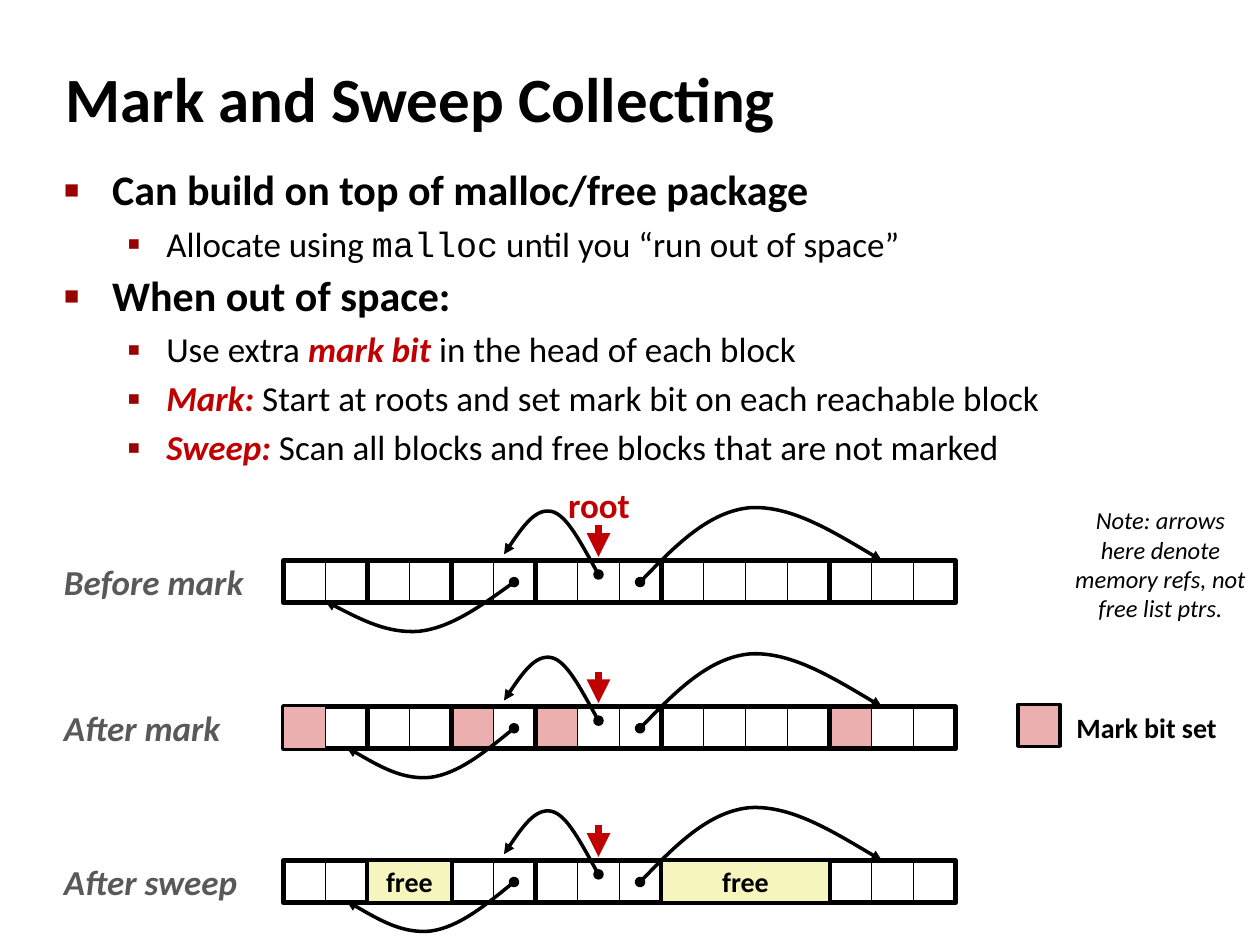
import dataclasses
import itertools
import typing

import lxml.etree
import pptx
import pptx.dml.color
import pptx.enum.shapes
import pptx.enum.text
import pptx.oxml
import pptx.oxml.ns
import pptx.util

Inches, Pt = pptx.util.Inches, pptx.util.Pt
RGB = pptx.dml.color.RGBColor.from_string
ALIGN = pptx.enum.text.PP_ALIGN
ANCHOR = pptx.enum.text.MSO_ANCHOR
AUTO = pptx.enum.text.MSO_AUTO_SIZE
RECT = pptx.enum.shapes.MSO_SHAPE.RECTANGLE
STRAIGHT = pptx.enum.shapes.MSO_CONNECTOR.STRAIGHT
qn = pptx.oxml.ns.qn


@dataclasses.dataclass(frozen=True)
class Theme:
    font: str = "Calibri"
    code_font: str = "Courier New"
    ink: str = "000000"
    accent: str = "C00000"
    bullet: str = "990000"
    label: str = "595959"
    marked: str = "EBAFAF"
    free: str = "F6F5BD"
    title: int = 36
    heading: int = 24
    text: int = 20
    small: int = 16
    note: int = 14


class Level(typing.NamedTuple):
    size: int
    bold: bool
    indent: float
    hang: float
    bullet: str
    bullet_pct: int
    line_spacing: float


class Run(typing.NamedTuple):
    text: str
    style: dict = {}


class HeapRow(typing.NamedTuple):
    label: str
    top: float
    back_end: float             # x where the lower pointer lands
    marked: tuple = ()          # cell numbers
    freed: tuple = ()           # block numbers


T = Theme()
LEVELS = (Level(T.heading, True, 0.38, 0.38, "■", 60, 0.95),
          Level(T.text, False, 0.81, 0.31, "▪", 110, 1.0))
KEY = {"color": T.accent, "bold": True, "italic": True}
BODY = (
    (0, [Run("Can build on top of malloc/free package")]),
    (1, [Run("Allocate using "), Run("malloc", {"name": T.code_font}),
         Run(" until you “run out of space”")]),
    (0, [Run("When out of space:")]),
    (1, [Run("Use extra "), Run("mark bit ", KEY), Run("in the head of each block")]),
    (1, [Run("Mark: ", KEY),
         Run("Start at roots and set mark bit on each reachable block")]),
    (1, [Run("Sweep: ", KEY),
         Run("Scan all blocks and free blocks that are not marked")]),
)

CELL = 1 / 3
HEAP_LEFT = 2.25
BLOCKS = (2, 2, 2, 3, 4, 3)     # sizes in cells
STARTS = (0, *itertools.accumulate(BLOCKS))
ROWS = (
    HeapRow("Before mark", 4.45, 2.58),
    HeapRow("After mark", 5.61, 2.75, marked=(0, 4, 6, 13)),
    HeapRow("After sweep", 6.83, 2.75, freed=(1, 4)),
)
# Bezier points: x, and y measured from the top of the heap row
ROOT_CURVE = ((4.75, 0.11), (4.62, -0.12), (4.5, -0.36), (4.38, -0.39),
              (4.25, -0.42), (4.12, -0.23), (4, -0.05))
FORWARD_CURVE = ((5.08, 0.17), (5.35, -0.11), (5.63, -0.39), (5.95, -0.42),
                 (6.27, -0.44), (6.63, -0.22), (7, 0))
BACK_START = 4.08
BACK_DROPS = (0.17, 0.35, 0.53, 0.56, 0.58, 0.45, 0.32)


def add_run(p, text: str, **style) -> None:
    r = p.add_run()
    r.text = text
    values = {"name": T.font, "color": T.ink, **style}
    r.font.color.rgb = RGB(values.pop("color"))
    for name, value in values.items():
        setattr(r.font, name, value)


def add_text(s, x: float, y: float, w: float, h: float, text: str,
             align=ALIGN.LEFT, wrap: bool = False, **style) -> None:
    tf = s.shapes.add_textbox(*map(Inches, (x, y, w, h))).text_frame
    tf.word_wrap, tf.auto_size = wrap, AUTO.SHAPE_TO_FIT_TEXT
    tf.paragraphs[0].alignment = align
    add_run(tf.paragraphs[0], text, **style)


def add_box(s, x: float, y: float, cells: int, width: float,
            fill: str | None = None, text: str = "") -> None:
    sp = s.shapes.add_shape(RECT, *map(Inches, (x, y, cells * CELL, CELL)))
    sp.shadow.inherit = False
    if fill:
        sp.fill.solid()
        sp.fill.fore_color.rgb = RGB(fill)
    else:
        sp.fill.background()
    sp.line.color.rgb, sp.line.width = RGB(T.ink), Pt(width)
    if text:
        tf = sp.text_frame
        tf.word_wrap, tf.vertical_anchor = False, ANCHOR.MIDDLE
        tf.paragraphs[0].alignment = ALIGN.CENTER
        add_run(tf.paragraphs[0], text, size=Pt(T.small), bold=True)


def set_line(sp, color: str, width: float, **ends: str) -> None:
    sp.line.color.rgb, sp.line.width = RGB(color), Pt(width)
    for end, kind in ends.items():
        lxml.etree.SubElement(sp.line._get_or_add_ln(), qn(f"a:{end}"), type=kind)


def add_line(s, x: float, top: float, bottom: float, color: str,
             width: float, **ends: str) -> None:
    sp = s.shapes.add_connector(STRAIGHT, *map(Inches, (x, top, x, bottom)))
    set_line(sp, color, width, **ends)
    lxml.etree.SubElement(sp._element.spPr, qn("a:effectLst"))


def add_curve(s, points, top: float) -> None:
    """Draw a pointer through Bezier points, dot first and arrowhead last."""
    pts = [(Inches(x), Inches(top + y)) for x, y in points]
    builder = s.shapes.build_freeform(*pts[0])
    builder.add_line_segments(pts[1:], close=False)
    sp = builder.convert_to_shape()
    path = sp._element.find(".//" + qn("a:path"))
    segments = path.findall(qn("a:lnTo"))
    for i in range(0, len(segments), 3):
        bezier = lxml.etree.SubElement(path, qn("a:cubicBezTo"))
        for segment in segments[i:i + 3]:
            bezier.append(segment[0])
            path.remove(segment)
    sp.shadow.inherit = False
    sp.fill.background()
    set_line(sp, T.ink, 2, headEnd="oval", tailEnd="triangle")


def cell_x(cell: int) -> float:
    return HEAP_LEFT + cell * CELL


def divider_width(row: HeapRow, cell: int) -> float:
    if cell - 1 in row.marked:
        return 1
    if any(STARTS[b] < cell < STARTS[b + 1] for b in row.freed):
        return 2
    return 0.5


def add_heap_row(s, row: HeapRow) -> None:
    for cell in row.marked[1:]:
        add_box(s, cell_x(cell), row.top, 1, 0.75, T.marked)
    step = (row.back_end - BACK_START) / 6
    back_curve = [(BACK_START + i * step, y) for i, y in enumerate(BACK_DROPS)]
    for curve in (ROOT_CURVE, FORWARD_CURVE, back_curve):
        add_curve(s, curve, row.top)
    add_text(s, 0.41, row.top - 0.05, 1.63, 0.44, row.label,
             size=Pt(T.text), color=T.label, bold=True, italic=True)
    add_line(s, 4.75, row.top - 0.28, row.top - 0.03, T.accent, 4.5,
             tailEnd="triangle")
    for start, size in zip(STARTS, BLOCKS):
        add_box(s, cell_x(start), row.top, size, 3)
    for cell in set(range(STARTS[-1])) - set(STARTS):
        add_line(s, cell_x(cell), row.top, row.top + CELL, T.ink,
                 divider_width(row, cell))
    for cell in row.marked[:1]:
        add_box(s, cell_x(cell), row.top, 1, 0.75, T.marked)
    for block in row.freed:
        add_box(s, cell_x(STARTS[block]), row.top, BLOCKS[block], 2, T.free, "free")


def place(sp, x: float, y: float, w: float, h: float, anchor):
    sp.left, sp.top, sp.width, sp.height = map(Inches, (x, y, w, h))
    tf = sp.text_frame
    tf.word_wrap, tf.auto_size, tf.vertical_anchor = True, AUTO.NONE, anchor
    return tf


def add_bullet(p, level: Level) -> None:
    pPr = p._p.get_or_add_pPr()
    pPr.set("marL", str(Inches(level.indent)))
    pPr.set("indent", str(-Inches(level.hang)))
    color = lxml.etree.SubElement(pPr, qn("a:buClr"))
    lxml.etree.SubElement(color, qn("a:srgbClr"), val=T.bullet)
    lxml.etree.SubElement(pPr, qn("a:buSzPct"), val=str(level.bullet_pct * 1000))
    lxml.etree.SubElement(pPr, qn("a:buChar"), char=level.bullet)


def fill_body(tf) -> None:
    for i, (depth, runs) in enumerate(BODY):
        p = tf.add_paragraph() if i else tf.paragraphs[0]
        level = LEVELS[depth]
        p.level = depth
        add_bullet(p, level)
        p.line_spacing = level.line_spacing
        p.space_before = Pt(level.size * 0.2 if i else 0)
        for run in runs:
            add_run(p, run.text,
                    **{"size": Pt(level.size), "bold": level.bold, **run.style})


def main() -> None:
    prs = pptx.Presentation()
    prs.slide_width, prs.slide_height = Inches(10), Inches(7.5)
    s = prs.slides.add_slide(prs.slide_layouts[1])
    p = place(s.shapes.title, 0.42, 0.5, 7.82, 0.63, ANCHOR.MIDDLE).paragraphs[0]
    p.alignment, p.line_spacing = ALIGN.LEFT, 0.87
    add_run(p, "Mark and Sweep Collecting", size=Pt(T.title), bold=True)
    fill_body(place(s.placeholders[1], 0.41, 1.28, 9.09, 2.63, ANCHOR.TOP))
    add_text(s, 4.41, 3.79, 0.69, 0.44, "root",
             size=Pt(T.text), color=T.accent, bold=True)
    for row in ROWS:
        add_heap_row(s, row)
    add_box(s, 8.08, 5.59, 1, 2, T.marked)
    add_text(s, 8.44, 5.59, 1.32, 0.37, "Mark bit set", ALIGN.CENTER,
             size=Pt(T.small), bold=True)
    add_text(s, 8.42, 3.96, 1.58, 1.04,
             "Note: arrows here denote memory refs, not free list ptrs.",
             ALIGN.CENTER, wrap=True, size=Pt(T.note), italic=True)
    prs.save("out.pptx")


if __name__ == "__main__":
    main()
